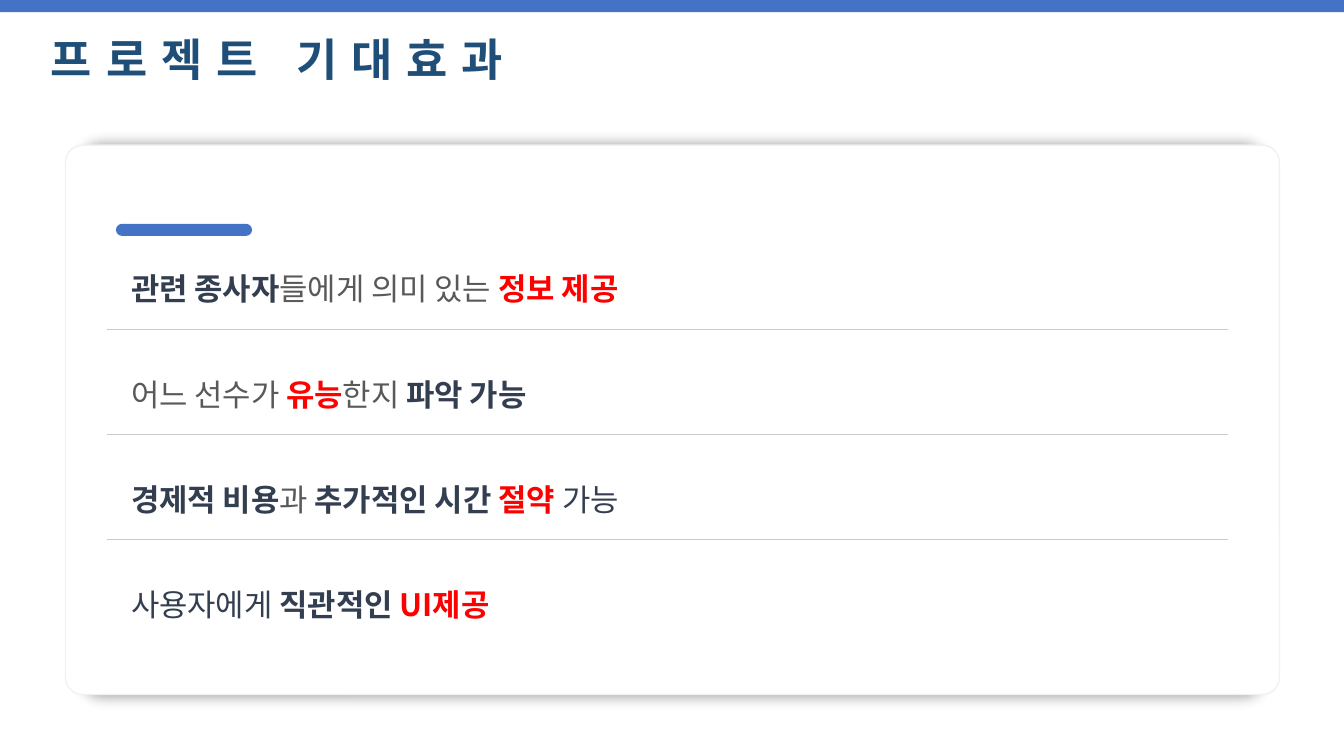
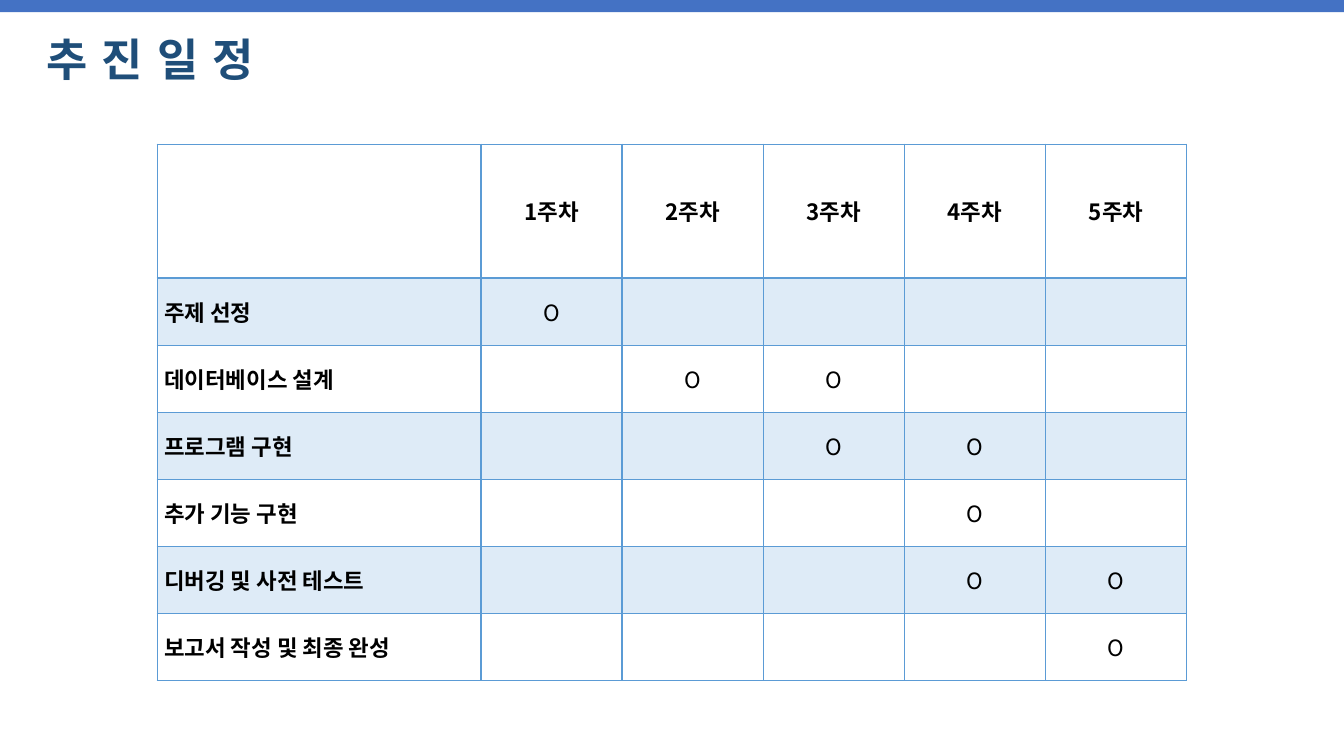
"""Builds the project benefits and schedule slides."""
import pptx
import pptx.util
import pptx.oxml
import pptx.oxml.ns
import pptx.dml.color
import pptx.enum.shapes
import pptx.enum.text

Inches, Pt = pptx.util.Inches, pptx.util.Pt
RGB = pptx.dml.color.RGBColor.from_string
SHAPE = pptx.enum.shapes.MSO_SHAPE
CENTER = pptx.enum.text.PP_ALIGN.CENTER
LEFT = pptx.enum.text.PP_ALIGN.LEFT
MIDDLE = pptx.enum.text.MSO_ANCHOR.MIDDLE
NS = pptx.oxml.ns.nsdecls("a")
KOREAN = "Noto Sans CJK KR"
NO_GRID = "{2D5ABB26-0587-4C30-8999-92F81FD0307C}"
C = {"bar": "4472C4", "title": "1F4E79", "white": "FFFFFF", "edge": "EEF2F2",
     "rule": "CACACA", "navy": "333F50", "gray": "595959", "red": "FF0000",
     "grid": "5B9BD5", "band": "DEEBF7", "black": "000000"}


def add_run(p, text, size, color, bold, latin=KOREAN):
    r = p.add_run()
    r.text = text
    r.font.size, r.font.bold = Pt(size), bold
    r.font.color.rgb = RGB(C[color])
    r.font.name = latin
    r.font._element.append(pptx.oxml.parse_xml(f'<a:ea {NS} typeface="{KOREAN}"/>'))
    return r


def set_cell(cell, margins, borders):
    cell.vertical_anchor = MIDDLE
    (cell.margin_left, cell.margin_top,
     cell.margin_right, cell.margin_bottom) = [Inches(m) for m in margins]
    tcPr = cell._tc.get_or_add_tcPr()
    for side, color, width in borders:
        tcPr.append(pptx.oxml.parse_xml(
            f'<a:ln{side} {NS} w="{Pt(width)}"><a:solidFill>'
            f'<a:srgbClr val="{C[color]}"/></a:solidFill></a:ln{side}>'))
    cell.fill.background()


prs = pptx.Presentation()
prs.slide_width, prs.slide_height = Inches(13.33), Inches(7.5)

slides = []
for title, left, width in [("프로젝트 기대효과", 0.17, 5.16), ("추진일정", 0.21, 2.56)]:
    s = prs.slides.add_slide(prs.slide_layouts[6])
    slides.append(s)
    sp = s.shapes.add_textbox(Inches(left), Inches(0.27), Inches(width), Inches(0.64))
    tf = sp.text_frame
    tf.word_wrap = False
    tf.auto_size = pptx.enum.text.MSO_AUTO_SIZE.SHAPE_TO_FIT_TEXT
    p = tf.paragraphs[0]
    p.alignment = CENTER
    r = add_run(p, title, 32, "title", True, "Calibri")
    r.font._element.set("spc", "1000")
    sp = s.shapes.add_shape(SHAPE.RECTANGLE, 0, 0, prs.slide_width, Inches(0.12))
    sp.shadow.inherit = False
    sp.fill.solid()
    sp.fill.fore_color.rgb = RGB(C["bar"])
    sp.line.fill.background()

benefits, schedule = slides

for box, radius, fill, edge in [((0.65, 1.44, 12.04, 5.45), 0.031, "white", "edge"),
                                ((1.15, 2.22, 1.35, 0.12), 0.5, "bar", None)]:
    sp = benefits.shapes.add_shape(SHAPE.ROUNDED_RECTANGLE, *[Inches(v) for v in box])
    sp.adjustments[0] = radius
    sp.shadow.inherit = False
    sp.fill.solid()
    sp.fill.fore_color.rgb = RGB(C[fill])
    if edge:
        sp.line.color.rgb = RGB(C[edge])
        sp.line.width = Pt(1)
        effects = sp._element.spPr.find(pptx.oxml.ns.qn("a:effectLst"))
        effects.append(pptx.oxml.parse_xml(
            f'<a:outerShdw {NS} blurRad="{Pt(10)}" dist="0" dir="0" sx="97000" '
            f'algn="ctr" rotWithShape="0"><a:srgbClr val="{C["black"]}">'
            '<a:alpha val="40000"/></a:srgbClr></a:outerShdw>'))
    else:
        sp.line.fill.background()

points = [
    [("관련 종사자", "navy", True), ("들에게 의미 있는 ", "gray", False),
     ("정보 제공", "red", True)],
    [("어느 선수가 ", "gray", False), ("유능", "red", True),
     ("한지", "gray", False), (" 파악 가능", "navy", True)],
    [("경제적 비용", "navy", True), ("과", "gray", False),
     (" 추가적인 시간 ", "navy", True), ("절약 ", "red", True), ("가능", "navy", False)],
    [("사용자에게", "navy", False), (" 직관적인 ", "navy", True), ("UI제공", "red", True)],
]
weeks = 5
tasks = [("주제 선정", [1]), ("데이터베이스 설계", [2, 3]), ("프로그램 구현", [3, 4]),
         ("추가 기능 구현", [4]), ("디버깅 및 사전 테스트", [4, 5]),
         ("보고서 작성 및 최종 완성", [5])]

tables = []
for s, left, top, cols, rows in [
        (benefits, 1.06, 2.22, [11.12], [1.045] * len(points)),
        (schedule, 1.56, 1.43, [3.21] + [1.4] * weeks, [1.33] + [0.665] * len(tasks))]:
    frame = s.shapes.add_table(len(rows), len(cols), Inches(left), Inches(top),
                               Inches(sum(cols)), Inches(sum(rows)))
    table = frame.table
    table.first_row = table.horz_banding = False
    table._tbl.tblPr.find(pptx.oxml.ns.qn("a:tableStyleId")).text = NO_GRID
    for column, width in zip(table.columns, cols):
        column.width = Inches(width)
    for row, height in zip(table.rows, rows):
        row.height = Inches(height)
    tables.append(table)

for i, point in enumerate(points):
    cell = tables[0].cell(i, 0)
    borders = [("T", "rule", 1)] if i else []
    if i < len(points) - 1:
        borders.append(("B", "rule", 1))
    set_cell(cell, (0.24, 0.05, 0.1, 0.05), borders)
    p = cell.text_frame.paragraphs[0]
    p.line_spacing = 1.5
    for text, color, bold in point:
        add_run(p, text, 22, color, bold)

grid = [[""] + [f"{week}주차" for week in range(1, weeks + 1)]]
for task, active in tasks:
    grid.append([task] + ["O" if week in active else "" for week in range(1, weeks + 1)])
for i, texts in enumerate(grid):
    for j, text in enumerate(texts):
        cell = tables[1].cell(i, j)
        set_cell(cell, (0.07, 0, 0.07, 0),
                 [("L", "grid", 1), ("R", "grid", 1),
                  ("T", "grid", 2 if i == 1 else 1), ("B", "grid", 2 if i == 0 else 1)])
        if i % 2:
            cell.fill.solid()
            cell.fill.fore_color.rgb = RGB(C["band"])
        p = cell.text_frame.paragraphs[0]
        p.alignment = CENTER if j else LEFT
        if text:
            add_run(p, text, 16, "black", i == 0 or j == 0)

prs.save("out.pptx")
